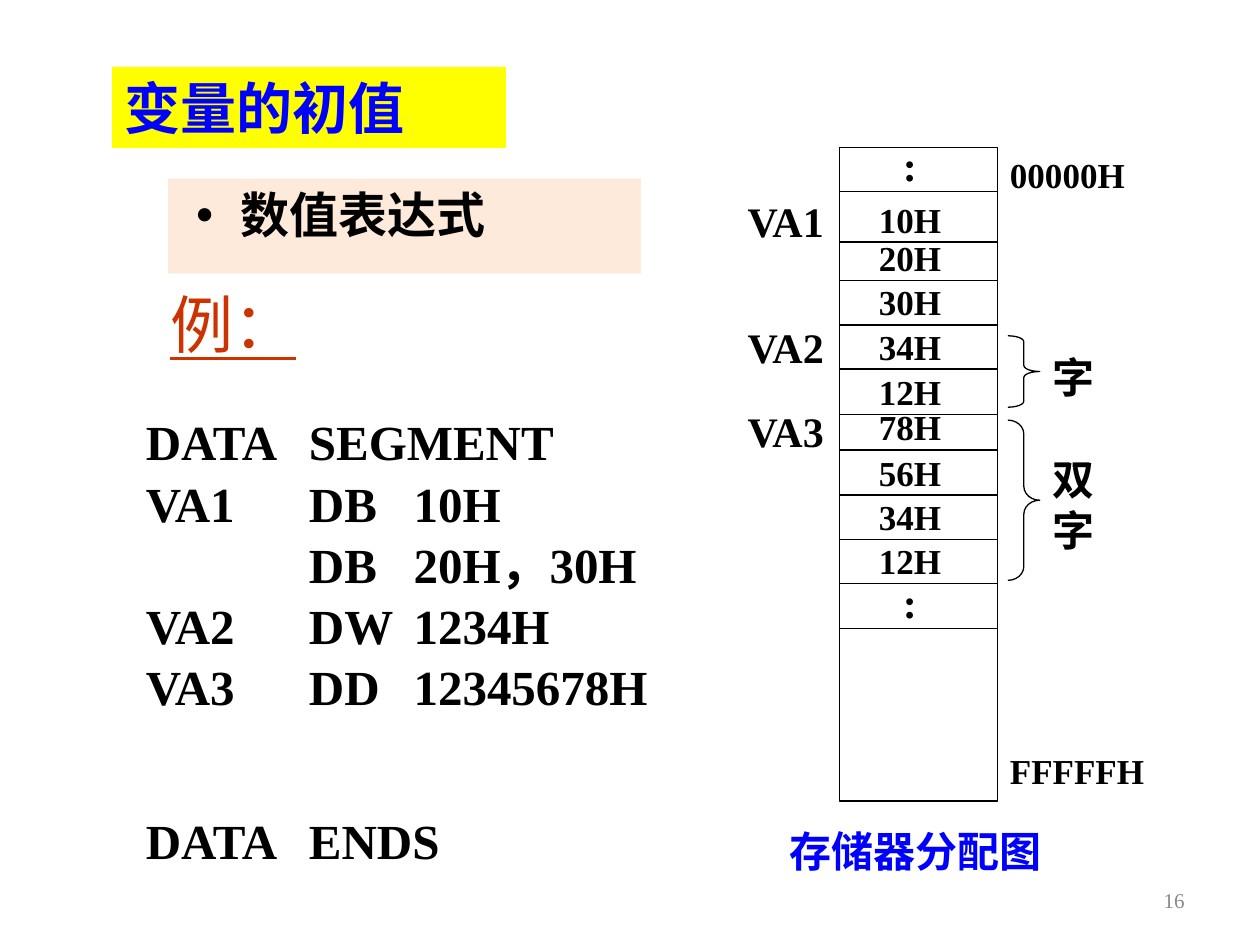
from lxml.etree import SubElement
from pptx import Presentation
from pptx.dml.color import RGBColor
from pptx.enum.shapes import MSO_CONNECTOR as Line, MSO_SHAPE as Shape
from pptx.enum.text import MSO_ANCHOR as Anchor, MSO_AUTO_SIZE as Fit, PP_ALIGN as Align
from pptx.oxml.ns import qn
from pptx.util import Cm, Pt

COLORS = {"black": "000000", "blue": "0000FF", "yellow": "FFFF00",
          "peach": "FDEADA", "rust": "CC3300", "gray": "898989"}
SERIF = "Times New Roman"

# Content
TITLE, TOPIC = "变量的初值", "数值表达式"
SEGMENT = ["DATA\tSEGMENT", "VA1\tDB\t10H", "\tDB\t20H，30H",
           "VA2\tDW\t1234H", "VA3\tDD\t12345678H"]
SEGMENT_END = "DATA\tENDS"
CODE_TABS = (3.29, 5.4)

# Memory cells, each with the line below it
MEMORY = (16.93, 2.97, 3.18, 13.18)
CELLS = [(":", 3.86), ("10H", 4.88), ("20H", 5.66), ("30H", 6.55),
         ("34H", 7.44), ("12H", 8.36), ("78H", 9.07), ("56H", 9.98),
         ("34H", 10.87), ("12H", 11.76), (":", 12.67)]
LIFT = 0.04  # raises the values to the middle of their cells

# Braces: top, height, curvature
BRACES = [(6.77, 1.44, 0.19), (8.47, 3.23, 0.44)]

# Labels: text, box, size, colour
LABELS = [
    ("VA1", (14.82, 3.81, 2.75, 1.27), 24, "black"),
    ("VA2", (14.82, 6.35, 2.75, 1.27), 24, "black"),
    ("VA3", (14.82, 8.04, 2.75, 1.27), 24, "black"),
    ("字", (20.96, 6.96, 1.27, 1.27), 24, "black"),
    ("双字", (20.96, 9.02, 1.27, 2.29), 24, "black"),
    ("00000H", (20.11, 2.97, 3.39, 1.11), 20, "black"),
    ("FFFFFH", (20.11, 14.99, 3.39, 1.11), 20, "black"),
    ("存储器分配图", (15.66, 16.51, 6.15, 1.27), 24, "blue"),
]


def rgb(name):
    return RGBColor.from_string(COLORS[name])


def style(p, size, color="black", bold=True, name=SERIF):
    p.font.name, p.font.size, p.font.bold = name, Pt(size), bold
    p.font.color.rgb = rgb(color)


def add_text(slide, text, box, size, color="black", bold=True):
    tf = slide.shapes.add_textbox(*map(Cm, box)).text_frame
    tf.word_wrap = True
    p = tf.paragraphs[0]
    p.text = text
    style(p, size, color, bold)
    return tf


def fill_placeholder(sp, text, box, fill, size, color, name):
    sp.left, sp.top, sp.width, sp.height = map(Cm, box)
    sp.fill.solid()
    sp.fill.fore_color.rgb = rgb(fill)
    tf = sp.text_frame
    tf.auto_size, tf.vertical_anchor = Fit.NONE, Anchor.TOP
    p = tf.paragraphs[0]
    p.text, p.alignment, p.space_before = text, Align.LEFT, Pt(0)
    style(p, size, color, name=name)
    return p


def outline(sp):
    sp.shadow.inherit = False
    sp.fill.background()
    sp.line.color.rgb, sp.line.width = rgb("black"), Pt(0.75)


def add_code(slide):
    box = slide.shapes.add_textbox(*map(Cm, (2.69, 8.13, 11.6, 9.53)))
    tf = box.text_frame
    tf.word_wrap = True
    first, last = tf.paragraphs[0], tf.add_paragraph()
    first.text, last.text = "\n".join(SEGMENT), SEGMENT_END
    for p in (first, last):
        tabs = SubElement(p._p.get_or_add_pPr(), qn("a:tabLst"))
        for pos in CODE_TABS:
            SubElement(tabs, qn("a:tab"), pos=str(Cm(pos)), algn="l")
        p.line_spacing = Pt(35)
        style(p, 28)
    last.space_before = Pt(52.5)


def add_memory(slide):
    left, top, width, height = MEMORY
    sp = slide.shapes.add_shape(Shape.RECTANGLE, *map(Cm, MEMORY))
    outline(sp)
    tf = sp.text_frame
    tf.vertical_anchor = Anchor.TOP
    tf.margin_top, tf.margin_right = 0, Cm(0.6)
    above = top + LIFT
    for i, (text, y) in enumerate(CELLS):
        # Each text line is exactly as tall as its cell
        p = tf.add_paragraph() if i else tf.paragraphs[0]
        p.text, p.alignment = text, Align.CENTER
        p.line_spacing, p.space_before = Cm(y - above), Pt(0)
        style(p, 24 if text == ":" else 20)
        above = y
        line = slide.shapes.add_connector(
            Line.STRAIGHT, Cm(left), Cm(y), Cm(left + width), Cm(y))
        line.line.color.rgb, line.line.width = rgb("black"), Pt(0.75)
        SubElement(line._element.spPr, qn("a:effectLst"))
    for y, h, curve in BRACES:
        brace = slide.shapes.add_shape(
            Shape.RIGHT_BRACE, Cm(20.32), Cm(y), Cm(0.64), Cm(h))
        brace.adjustments[0] = curve
        outline(brace)


def main():
    prs = Presentation()
    prs.slide_width, prs.slide_height = Cm(25.4), Cm(19.05)
    slide = prs.slides.add_slide(prs.slide_layouts[1])

    # Title and topic
    title, body = slide.placeholders
    fill_placeholder(title, TITLE, (2.26, 1.35, 7.94, 1.63), "yellow", 32, "blue", SERIF)
    p = fill_placeholder(body, TOPIC, (3.39, 3.6, 9.53, 1.91), "peach", 28, "black", "Calibri")
    pPr = p._p.get_or_add_pPr()
    pPr.set("marL", str(Cm(1.21)))
    pPr.set("indent", str(-Cm(0.9)))

    # Example code
    example = add_text(slide, "例：", (3.18, 5.64, 3.05, 1.78), 36, "rust", False)
    example.paragraphs[0].font.underline = True
    add_code(slide)

    # Memory map
    add_memory(slide)
    for label in LABELS:
        add_text(slide, *label)

    # Slide number
    number = add_text(slide, "16", (18.2, 17.65, 5.93, 1.01), 12, "gray", False)
    number.vertical_anchor = Anchor.MIDDLE
    number.paragraphs[0].alignment = Align.RIGHT
    prs.save("out.pptx")


if __name__ == "__main__":
    main()
